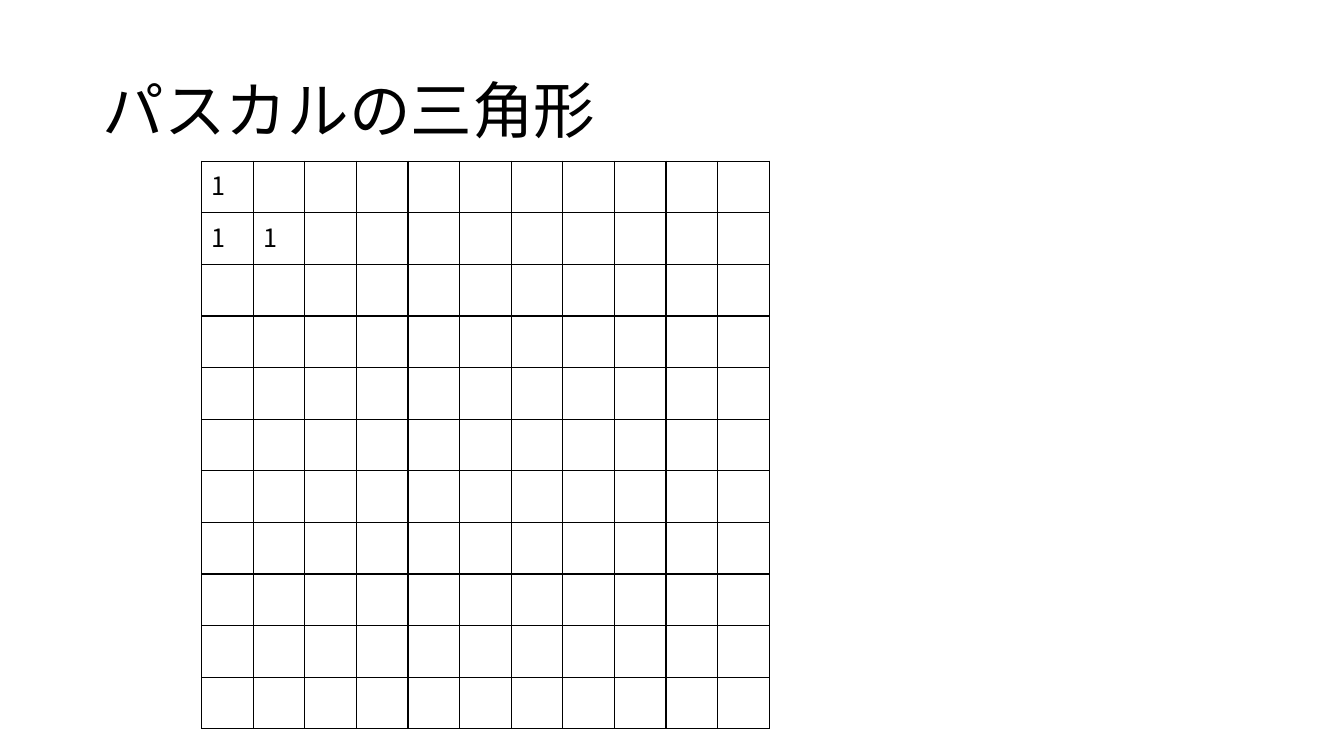
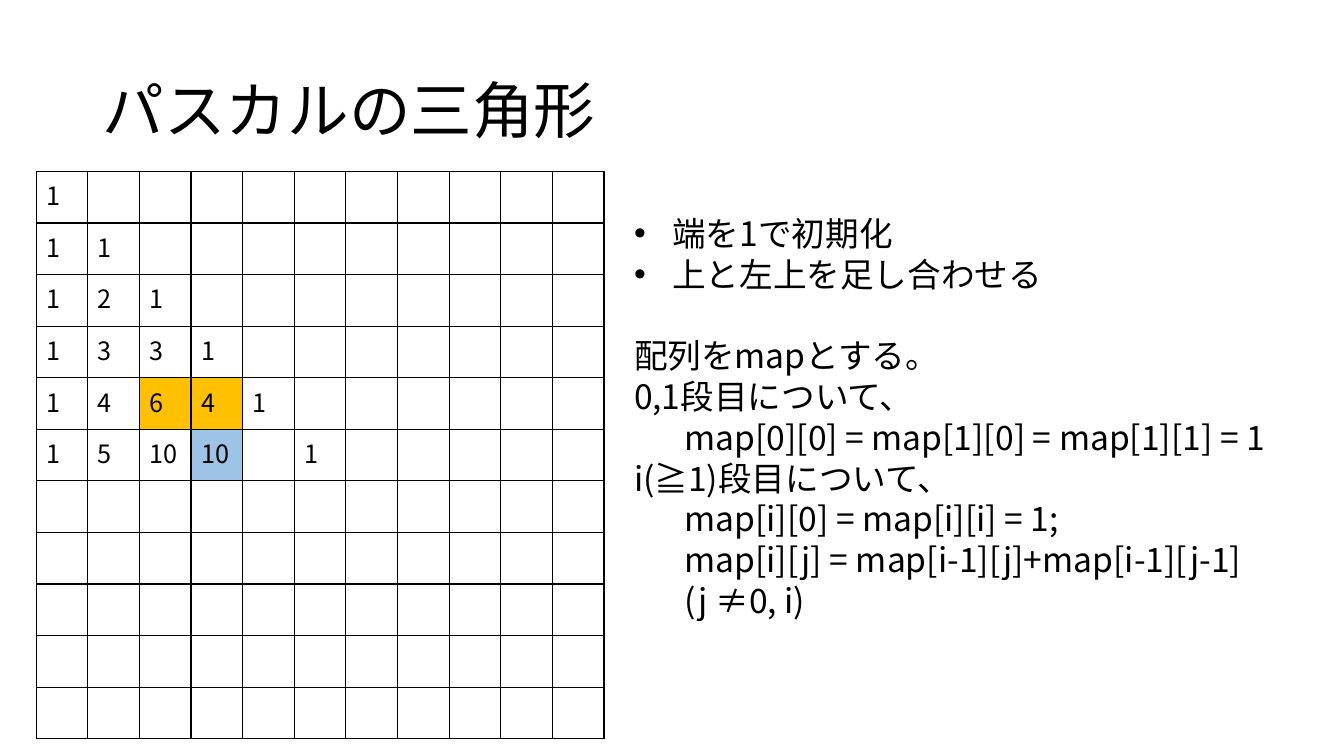
from dataclasses import dataclass
from math import comb

from lxml import etree
from pptx import Presentation
from pptx.dml.color import RGBColor
from pptx.enum.text import MSO_ANCHOR
from pptx.oxml.ns import qn
from pptx.util import Inches, Pt

MIDDLE = MSO_ANCHOR.MIDDLE
FONT = "Noto Sans CJK JP"
COLORS = {"ink": "000000", "paper": "FFFFFF", "source": "FFC000", "sum": "9DC3E6"}
TITLE = "パスカルの三角形"
GRID_COUNT = 11
GRID_SIZE = 5.63
BLANK_LAYOUT = 6
LINE_PITCH = 29.1


@dataclass(frozen=True)
class Triangle:
    """Pascal's triangle, filled down to a number of rows."""
    left: float
    top: float
    row_count: int
    unsolved: tuple = ()
    marks: tuple = ()


@dataclass(frozen=True)
class Line:
    """One line of the explanation."""
    text: str
    indent: float = 0
    bullet: bool = False
    gap_before: float = 0


TRIANGLES = [
    Triangle(2, 1.6, 2),
    Triangle(0.36, 1.7, 6, unsolved=((5, 4),),
             marks=(((4, 2), "source"), ((4, 3), "source"), ((5, 3), "sum"))),
]
EXPLANATION = [
    Line("端を1で初期化", 0.38, bullet=True),
    Line("上と左上を足し合わせる", 0.38, bullet=True),
    Line("配列をmapとする。", gap_before=LINE_PITCH),
    Line("0,1段目について、"),
    Line("map[0][0] = map[1][0] = map[1][1] = 1", 0.5),
    Line("i(≧1)段目について、"),
    Line("map[i][0] = map[i][i] = 1;", 0.5),
    Line("map[i][j] = map[i-1][j]+map[i-1][j-1] ", 0.5),
    Line("(j ≠0, i)", 0.5),
]


def style_para(para, size: float) -> None:
    """Set font, size and colour on every run of a paragraph."""
    for span in para.runs:
        span.font.size = Pt(size)
        span.font.name = FONT
        span.font.color.rgb = RGBColor.from_string(COLORS["ink"])
        east_asian = etree.SubElement(span.font._element, qn("a:ea"))
        east_asian.set("typeface", FONT)


def add_text_box(page, left: float, top: float, width: float, height: float):
    """Add a wrapping text box and return its text frame."""
    box = page.shapes.add_textbox(Inches(left), Inches(top), Inches(width), Inches(height))
    box.text_frame.word_wrap = True
    return box.text_frame


def add_title(page) -> None:
    """Write the title shared by the slides."""
    frame = add_text_box(page, 0.92, 0.4, 11.5, 1.45)
    frame.vertical_anchor = MIDDLE
    frame.text = TITLE
    para = frame.paragraphs[0]
    para.line_spacing = 0.9
    style_para(para, 44)


def outline_cell(cell) -> None:
    """Draw a thin line on all four sides of a cell."""
    properties = cell._tc.get_or_add_tcPr()
    for side in ("lnL", "lnR", "lnT", "lnB"):
        line = etree.SubElement(properties, qn(f"a:{side}"), w=str(Pt(1)))
        fill = etree.SubElement(line, qn("a:solidFill"))
        etree.SubElement(fill, qn("a:srgbClr"), val=COLORS["ink"])


def add_triangle(page, triangle: Triangle) -> None:
    """Draw the grid with the binomial numbers known so far."""
    table = page.shapes.add_table(
        GRID_COUNT, GRID_COUNT, Inches(triangle.left), Inches(triangle.top),
        Inches(GRID_SIZE), Inches(GRID_SIZE)).table
    table.first_row = False
    table.horz_banding = False
    marks = dict(triangle.marks)
    for row in range(GRID_COUNT):
        for column in range(GRID_COUNT):
            place = (row, column)
            cell = table.cell(row, column)
            outline_cell(cell)
            cell.fill.solid()
            cell.fill.fore_color.rgb = RGBColor.from_string(COLORS[marks.get(place, "paper")])
            if column <= row < triangle.row_count and place not in triangle.unsolved:
                cell.text_frame.text = str(comb(row, column))
                style_para(cell.text_frame.paragraphs[0], 18)


def add_explanation(page, lines: list[Line]) -> None:
    """Write the rules for filling the triangle."""
    frame = add_text_box(page, 6.19, 2.06, 7.14, 4.14)
    frame.text = "\n".join(line.text for line in lines)
    for para, line in zip(frame.paragraphs, lines):
        para.line_spacing = Pt(LINE_PITCH)
        para.space_before = Pt(line.gap_before)
        style_para(para, 24)
        properties = para._p.get_or_add_pPr()
        properties.set("marL", str(Inches(line.indent)))
        if line.bullet:
            properties.set("indent", str(-Inches(line.indent)))
            etree.SubElement(properties, qn("a:buFont"), typeface="Arial")
            etree.SubElement(properties, qn("a:buChar"), char="•")


def main() -> None:
    """Build and save the deck."""
    deck = Presentation()
    deck.slide_width = Inches(13.33)
    deck.slide_height = Inches(7.5)
    for triangle in TRIANGLES:
        page = deck.slides.add_slide(deck.slide_layouts[BLANK_LAYOUT])
        add_title(page)
        add_triangle(page, triangle)
    add_explanation(page, EXPLANATION)
    deck.save("out.pptx")


main()
